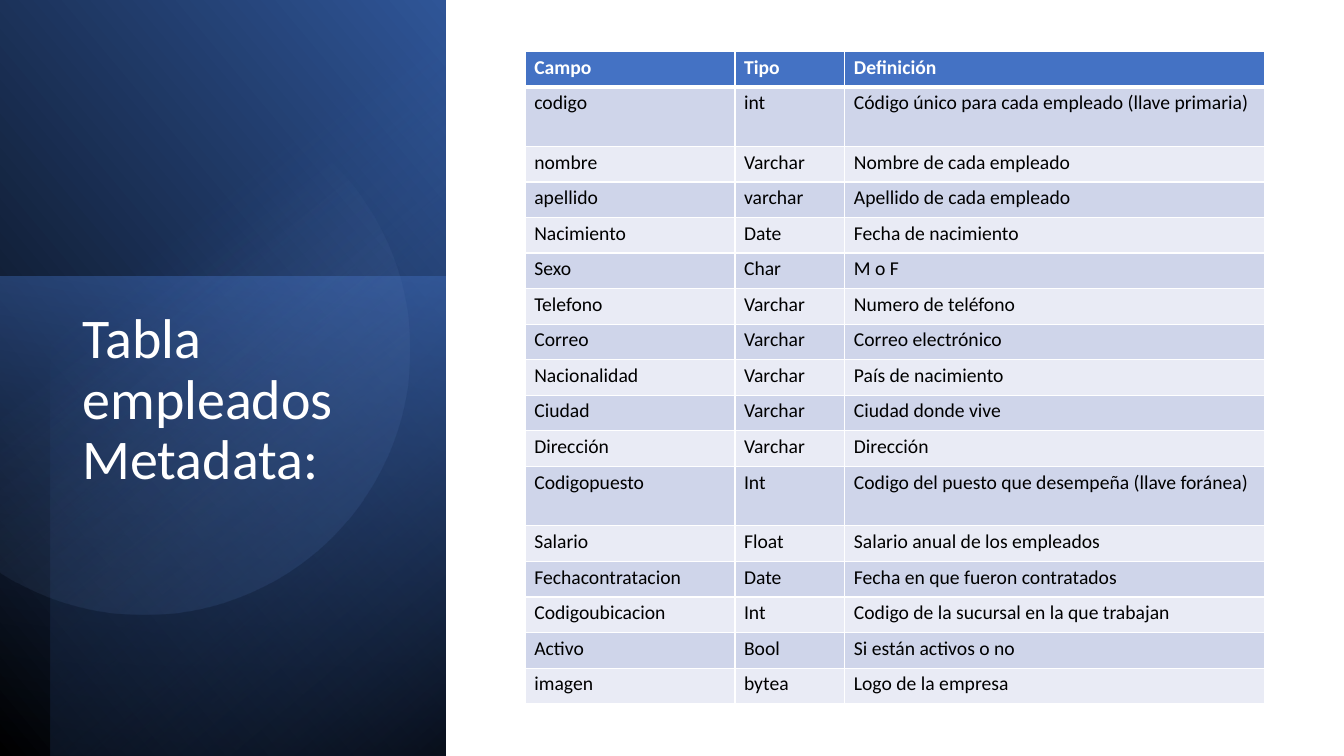
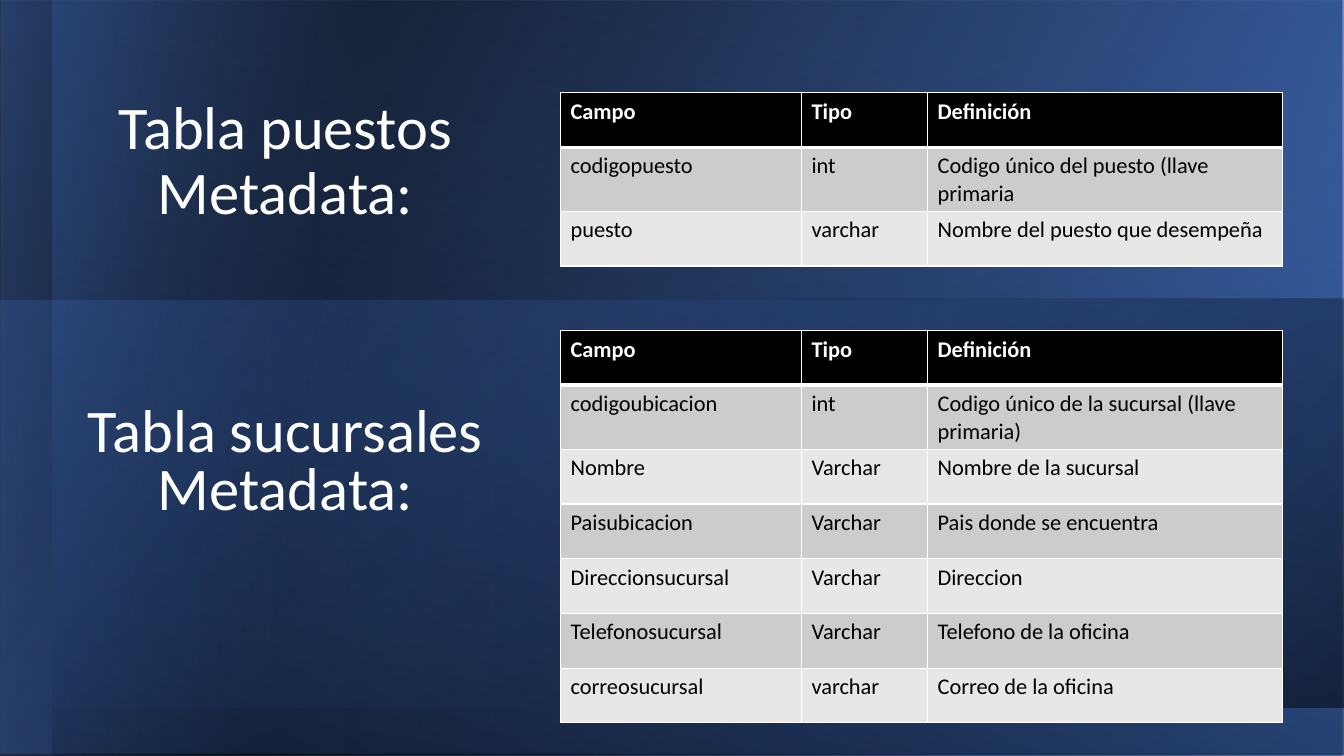
"""Build two slides that document the employee, position and branch tables."""
import math

import lxml.etree
import pptx
import pptx.dml.color
import pptx.enum.shapes
import pptx.enum.text
import pptx.oxml.ns
import pptx.util

Inches = pptx.util.Inches
FONT = "Calibri"
WHITE, BLACK = "FFFFFF", "000000"
BLUE, DEEP_BLUE, NAVY, PALE_BLUE = "4472C4", "2F5597", "203864", "8FAADC"
BLUE_STYLE = {"header": BLUE, "bands": ("CFD5EA", "E9EBF5"), "size": 14, "margins": (0.09, 0.04)}
BLACK_STYLE = {"header": BLACK, "bands": ("CCCCCC", "E7E7E7"), "size": 16, "margins": (0.1, 0.05)}
HEADINGS = ("Campo", "Tipo", "Definición")


def paint(fill, color, stops=(), angle=0):
    """Fill with one colour, or with (position, colour, opacity) stops at a clockwise angle."""
    if not stops:
        fill.solid()
        fill.fore_color.rgb = pptx.dml.color.RGBColor.from_string(color)
        return
    fill.gradient()
    fill.gradient_angle = (360 - angle) % 360
    for stop, (position, stop_color, opacity) in zip(fill.gradient_stops, stops):
        stop.position = position / 100
        stop.color.rgb = pptx.dml.color.RGBColor.from_string(stop_color)
        alpha = lxml.etree.SubElement(stop._element[0], pptx.oxml.ns.qn("a:alpha"))
        alpha.set("val", str(opacity * 1000))


def write_text(frame, text, size, color=WHITE, bold=False, align=None, spacing=None):
    """Write one formatted paragraph into a text frame."""
    frame.word_wrap = True
    paragraph = frame.paragraphs[0]
    paragraph.text = text
    paragraph.alignment = align
    paragraph.line_spacing = spacing
    for run in paragraph.runs:
        run.font.name = FONT
        run.font.size = pptx.util.Pt(size)
        run.font.bold = bold
        paint(run.font.fill, color)


presentation = pptx.Presentation()
presentation.slide_width = Inches(13.33)
presentation.slide_height = Inches(7.5)
employee_slide, lookup_slide = [
    presentation.slides.add_slide(presentation.slide_layouts[6]) for _ in range(2)
]

backdrops = [
    (employee_slide, (-1.55, 1.55, 7.52, 4.42), 90, True, 310, ((0, BLACK, 100), (100, DEEP_BLUE, 100))),
    (employee_slide, (-0.17, 2.91, 4.76, 4.42), 270, False, 190, ((0, BLUE, 50), (100, NAVY, 0))),
    (employee_slide, (-1.29, 1.79, 7.5, 3.92), 270, True, 220, ((0, BLACK, 59), (69, BLUE, 0))),
    (lookup_slide, (0, 0, 13.33, 7.5), 0, True, 150, ((19, BLACK, 96), (100, BLUE, 100))),
    (lookup_slide, (0.52, 0.01, 12.81, 7.48), 0, True, 260, ((0, BLACK, 72), (100, BLUE, 20))),
    (lookup_slide, (0, 2.98, 13.33, 4.5), 0, True, 0, ((30, DEEP_BLUE, 19), (100, BLUE, 24))),
    (lookup_slide, (-1.87, 1.88, 7.5, 3.74), 270, True, 80, ((0, BLUE, 52), (76, DEEP_BLUE, 0))),
    (lookup_slide, (0, 2.96, 13.33, 4.06), 0, True, 320, ((0, BLACK, 50), (92, DEEP_BLUE, 0))),
]
for slide, box, rotation, flipped, angle, stops in backdrops:
    shape = slide.shapes.add_shape(pptx.enum.shapes.MSO_SHAPE.RECTANGLE, *map(Inches, box))
    shape.shadow.inherit = False
    shape.line.fill.background()
    shape.rotation = rotation
    if flipped:
        shape._element.spPr.xfrm.set("flipH", "1")
    paint(shape.fill, None, stops, angle)

center_x, center_y, radius = 1.43, 3.47, 2.63
arc = [
    (
        Inches(max(0, center_x + radius * math.cos(math.radians(degrees)))),
        Inches(center_y + radius * math.sin(math.radians(degrees))),
    )
    for degrees in range(-123, 124, 3)
]
builder = employee_slide.shapes.build_freeform(*arc[0])
builder.add_line_segments(arc[1:], close=True)
circle = builder.convert_to_shape()
circle.shadow.inherit = False
circle.line.fill.background()
paint(circle.fill, None, ((39, PALE_BLUE, 0), (100, DEEP_BLUE, 26)), 52)

TOP, BOTTOM = pptx.enum.text.MSO_ANCHOR.TOP, pptx.enum.text.MSO_ANCHOR.BOTTOM
CENTER = pptx.enum.text.PP_ALIGN.CENTER
titles = [
    (employee_slide, "Tabla empleados\vMetadata:", (0.72, 3.03, 3.15, 3.36), TOP, 40, None, 0.9),
    (lookup_slide, "Tabla puestos\vMetadata:", (0.61, 1.03, 4.44, 1.28), BOTTOM, 43.2, CENTER, 0.9),
    (lookup_slide, "Tabla sucursales\vMetadata:", (0.61, 3.95, 4.44, 1.28), BOTTOM, 43.2, CENTER, 0.8),
]
for slide, text, box, anchor, size, align, spacing in titles:
    frame = slide.shapes.add_textbox(*map(Inches, box)).text_frame
    frame.vertical_anchor = anchor
    write_text(frame, text, size, align=align, spacing=spacing)

employee_fields = [
    ("codigo", "int", "Código único para cada empleado (llave primaria)"),
    ("nombre", "Varchar", "Nombre de cada empleado"),
    ("apellido", "varchar", "Apellido de cada empleado"),
    ("Nacimiento", "Date", "Fecha de nacimiento"),
    ("Sexo", "Char", "M o F"),
    ("Telefono", "Varchar", "Numero de teléfono"),
    ("Correo", "Varchar", "Correo electrónico"),
    ("Nacionalidad", "Varchar", "País de nacimiento"),
    ("Ciudad", "Varchar", "Ciudad donde vive"),
    ("Dirección", "Varchar", "Dirección"),
    ("Codigopuesto", "Int", "Codigo del puesto que desempeña (llave foránea)"),
    ("Salario", "Float", "Salario anual de los empleados"),
    ("Fechacontratacion", "Date", "Fecha en que fueron contratados"),
    ("Codigoubicacion", "Int", "Codigo de la sucursal en la que trabajan"),
    ("Activo", "Bool", "Si están activos o no"),
    ("imagen", "bytea", "Logo de la empresa"),
]
position_fields = [
    ("codigopuesto", "int", "Codigo único del puesto (llave primaria"),
    ("puesto", "varchar", "Nombre del puesto que desempeña"),
]
branch_fields = [
    ("codigoubicacion", "int", "Codigo único de la sucursal (llave primaria)"),
    ("Nombre", "Varchar", "Nombre de la sucursal"),
    ("Paisubicacion", "Varchar", "Pais donde se encuentra"),
    ("Direccionsucursal", "Varchar", "Direccion"),
    ("Telefonosucursal", "Varchar", "Telefono de la oficina"),
    ("correosucursal", "varchar", "Correo de la oficina"),
]
employee_widths, lookup_widths = (2.08, 1.09, 4.16), (2.39, 1.25, 3.52)
tables = [
    (employee_slide, employee_fields, 5.21, 0.51, employee_widths, 0.353, {1: 0.59, 11: 0.59}, BLUE_STYLE),
    (lookup_slide, position_fields, 5.56, 0.92, lookup_widths, 0.543, {}, BLACK_STYLE),
    (lookup_slide, branch_fields, 5.56, 3.28, lookup_widths, 0.543, {}, BLACK_STYLE),
]
for slide, fields, left, top, widths, row_height, tall_rows, style in tables:
    rows = [HEADINGS, *fields]
    heights = [tall_rows.get(index, row_height) for index in range(len(rows))]
    table = slide.shapes.add_table(
        len(rows), len(widths), Inches(left), Inches(top), Inches(sum(widths)), Inches(sum(heights))
    ).table
    for column, width in zip(table.columns, widths):
        column.width = Inches(width)
    for row_index, values in enumerate(rows):
        table.rows[row_index].height = Inches(heights[row_index])
        is_header = row_index == 0
        for column_index, value in enumerate(values):
            cell = table.cell(row_index, column_index)
            cell.margin_left = cell.margin_right = Inches(style["margins"][0])
            cell.margin_top = cell.margin_bottom = Inches(style["margins"][1])
            write_text(
                cell.text_frame, value, style["size"], color=WHITE if is_header else BLACK, bold=is_header
            )
            properties = cell._tc.get_or_add_tcPr()
            for side in ("lnL", "lnR", "lnT", "lnB"):
                thick = (row_index, side) in ((0, "lnB"), (1, "lnT"))
                border = lxml.etree.SubElement(properties, pptx.oxml.ns.qn("a:" + side))
                border.set("w", str(pptx.util.Pt(3 if thick else 1)))
                solid = lxml.etree.SubElement(border, pptx.oxml.ns.qn("a:solidFill"))
                lxml.etree.SubElement(solid, pptx.oxml.ns.qn("a:srgbClr")).set("val", WHITE)
            paint(cell.fill, style["header"] if is_header else style["bands"][(row_index - 1) % 2])

presentation.save("out.pptx")
